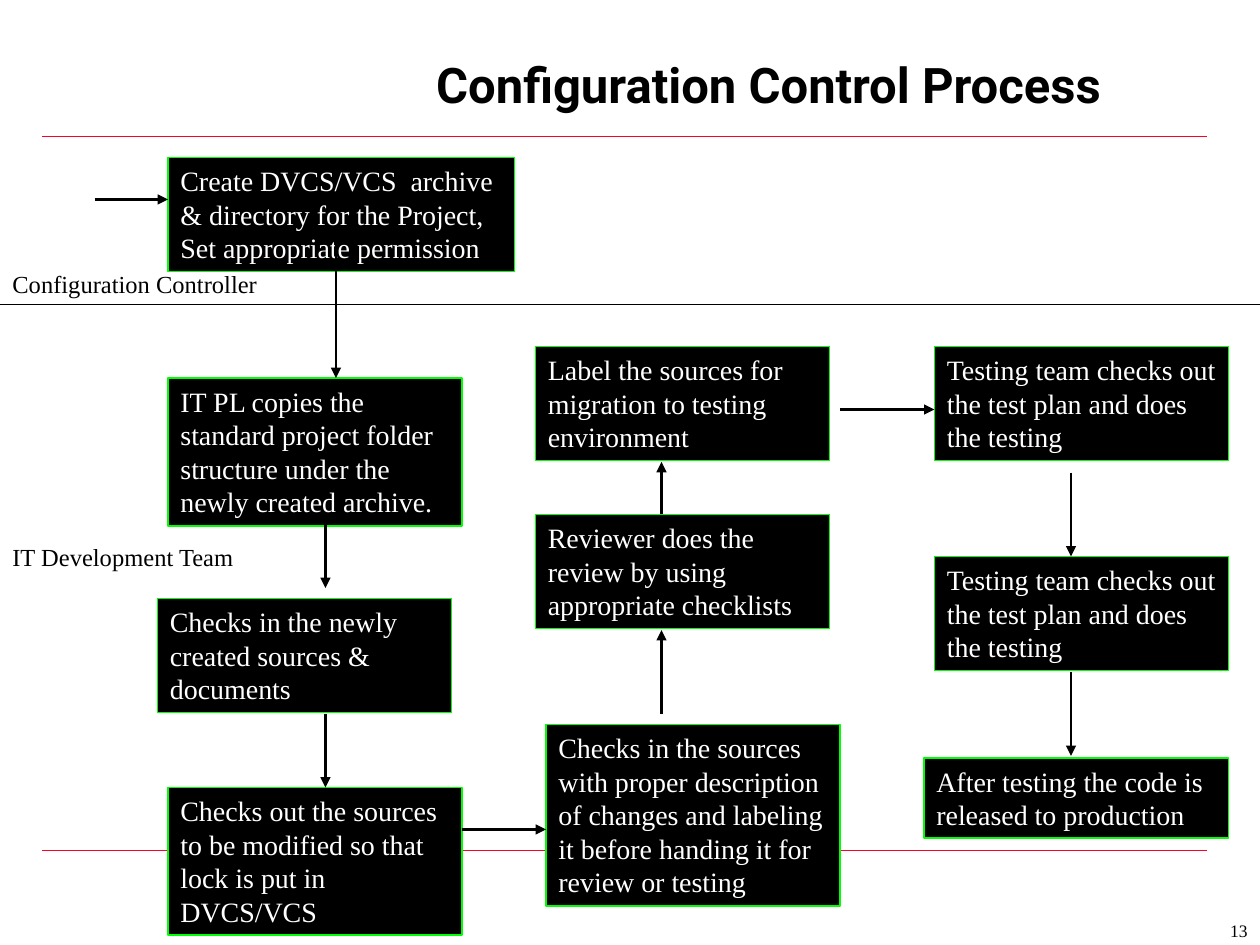
from lxml.etree import SubElement
from pptx import Presentation
from pptx.dml.color import RGBColor
from pptx.enum.shapes import MSO_CONNECTOR, MSO_SHAPE
from pptx.enum.text import MSO_ANCHOR, PP_ALIGN
from pptx.oxml.ns import qn
from pptx.util import Inches, Pt

BLACK = RGBColor(0x00, 0x00, 0x00)
WHITE = RGBColor(0xFF, 0xFF, 0xFF)
GREEN = RGBColor(0x00, 0xFF, 0x00)
RED = RGBColor(0xFC, 0x01, 0x28)
SERIF = "Times New Roman"

deck = Presentation()
deck.slide_width, deck.slide_height = Inches(10), Inches(7.5)
page = deck.slides.add_slide(deck.slide_layouts[6])

# The page is a grid of 120 columns by 90 rows
UNIT = deck.slide_width / 120


def grid(*cells):
    return [round(cell * UNIT) for cell in cells]


def write(shape, text, size, color, font=SERIF, align=PP_ALIGN.LEFT, before=0):
    """Put one wrapped paragraph into the shape and format it."""
    shape.text_frame.word_wrap = True
    shape.text_frame.text = text
    para = shape.text_frame.paragraphs[0]
    para.alignment = align
    para.space_before = Pt(before)
    face = para.runs[0].font
    face.name, face.size, face.color.rgb = font, Pt(size), color


title = page.shapes.add_textbox(*grid(4, 3, 102, 10))
write(title, "Configuration Control Process", 28, BLACK, "Roboto", PP_ALIGN.RIGHT)
title.text_frame.vertical_anchor = MSO_ANCHOR.MIDDLE
title.text_frame.paragraphs[0].runs[0].font.bold = True

rules = [  # x1, y1, x2, y2, color, width, arrow
    (4, 13, 115, 13, RED, 0.75, False),
    (4, 81, 115, 81, RED, 0.75, False),
    (0, 29, 120, 29, BLACK, 1, False),
]
arrows = [
    (9, 19, 16, 19),
    (32, 23, 32, 36),
    (31, 50, 31, 56),
    (31, 68, 31, 75),
    (44, 79, 52, 79),
    (63, 68, 63, 60),
    (63, 49, 63, 44),
    (80, 39, 101, 39)[:2] + (89, 39),
    (102, 45, 102, 53),
    (102, 64, 102, 72),
]

# Role labels: row, width, text
for row, width, text in [
    (25, 27, "Configuration Controller"),
    (51, 25, "IT Development Team"),
]:
    label = page.shapes.add_textbox(*grid(0, row, width, 4))
    write(label, text, 14, BLACK, before=8.8)

TESTING = "Testing team checks out the test plan and does the testing"
steps = [  # column, row, width, text lines, text
    (16, 15, 33, 3, "Create DVCS/VCS  archive & directory for the Project, "
                    "Set appropriate permission"),
    (16, 36, 28, 4, "IT PL copies the standard project folder structure "
                    "under the newly created archive."),
    (15, 57, 28, 3, "Checks in the newly created sources & documents"),
    (16, 75, 28, 4, "Checks out the sources to be modified so that "
                    "lock is put in DVCS/VCS"),
    (52, 69, 28, 5, "Checks in the sources with proper description of changes "
                    "and labeling it before handing it for review or testing"),
    (51, 49, 28, 3, "Reviewer does the review by using appropriate checklists"),
    (51, 33, 28, 3, "Label the sources for migration to testing environment"),
    (89, 33, 28, 3, TESTING),
    (89, 53, 28, 3, TESTING),
    (88, 72.2, 29, 2, "After testing the code is released to production"),
]

# The red rules run behind the boxes, the arrows in front of them
lines = rules + [(*ends, BLACK, 1.25, True) for ends in arrows]
LINE_ROWS = 3.22
PADDING = 1.2


def draw_lines(items):
    for *ends, color, width, has_head in items:
        line = page.shapes.add_connector(MSO_CONNECTOR.STRAIGHT, *grid(*ends))
        line.line.color.rgb, line.line.width = color, Pt(width)
        SubElement(line._element.spPr, qn("a:effectLst"))
        if has_head:
            SubElement(line.line._get_or_add_ln(), qn("a:tailEnd"),
                       type="triangle", w="med", len="med")


draw_lines(lines[:len(rules)])
for column, row, width, line_count, text in steps:
    height = PADDING + LINE_ROWS * line_count
    box = page.shapes.add_shape(MSO_SHAPE.RECTANGLE, *grid(column, row, width, height))
    box.shadow.inherit = False
    box.fill.solid()
    box.fill.fore_color.rgb = BLACK
    box.line.color.rgb, box.line.width = GREEN, Pt(1)
    write(box, text, 16, WHITE, before=10)
    box.text_frame.vertical_anchor = MSO_ANCHOR.TOP
draw_lines(lines[len(rules):])

number = page.shapes.add_textbox(*grid(95, 87, 25, 3))
write(number, "13", 10, BLACK, align=PP_ALIGN.RIGHT)

deck.save("out.pptx")
